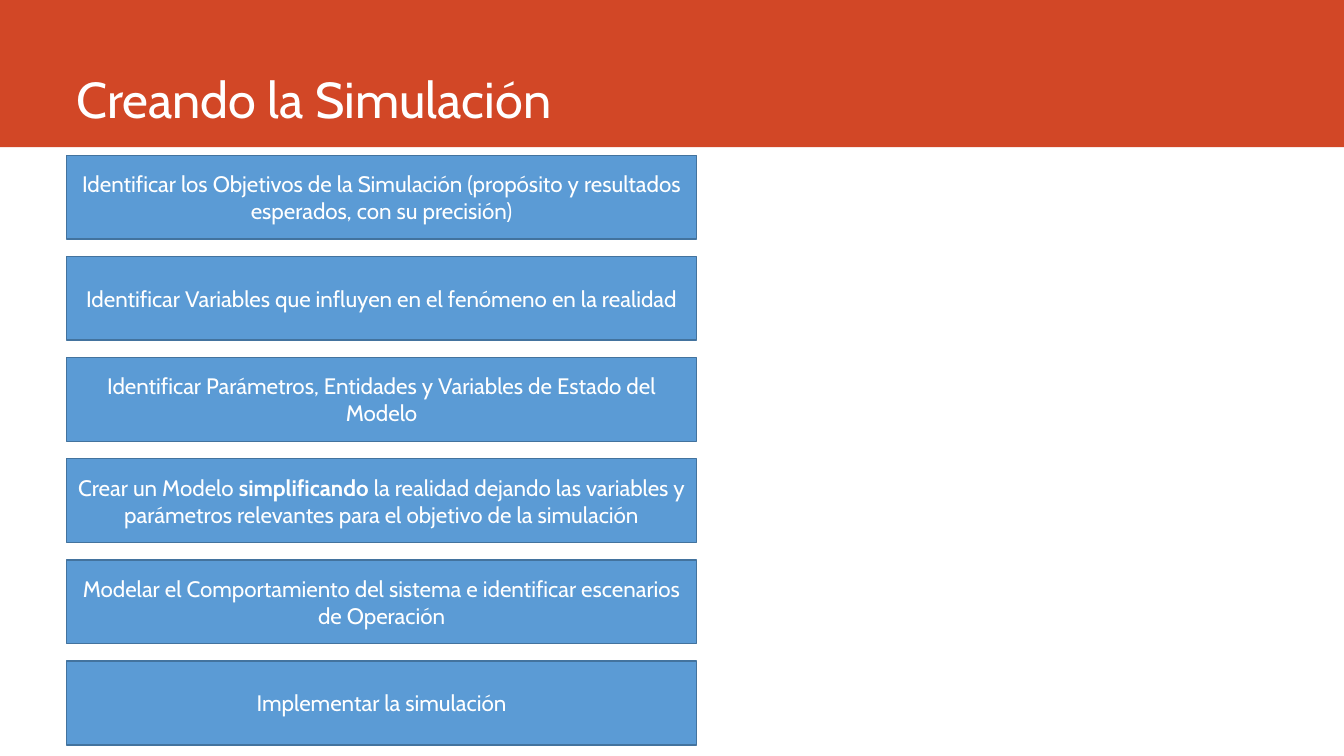
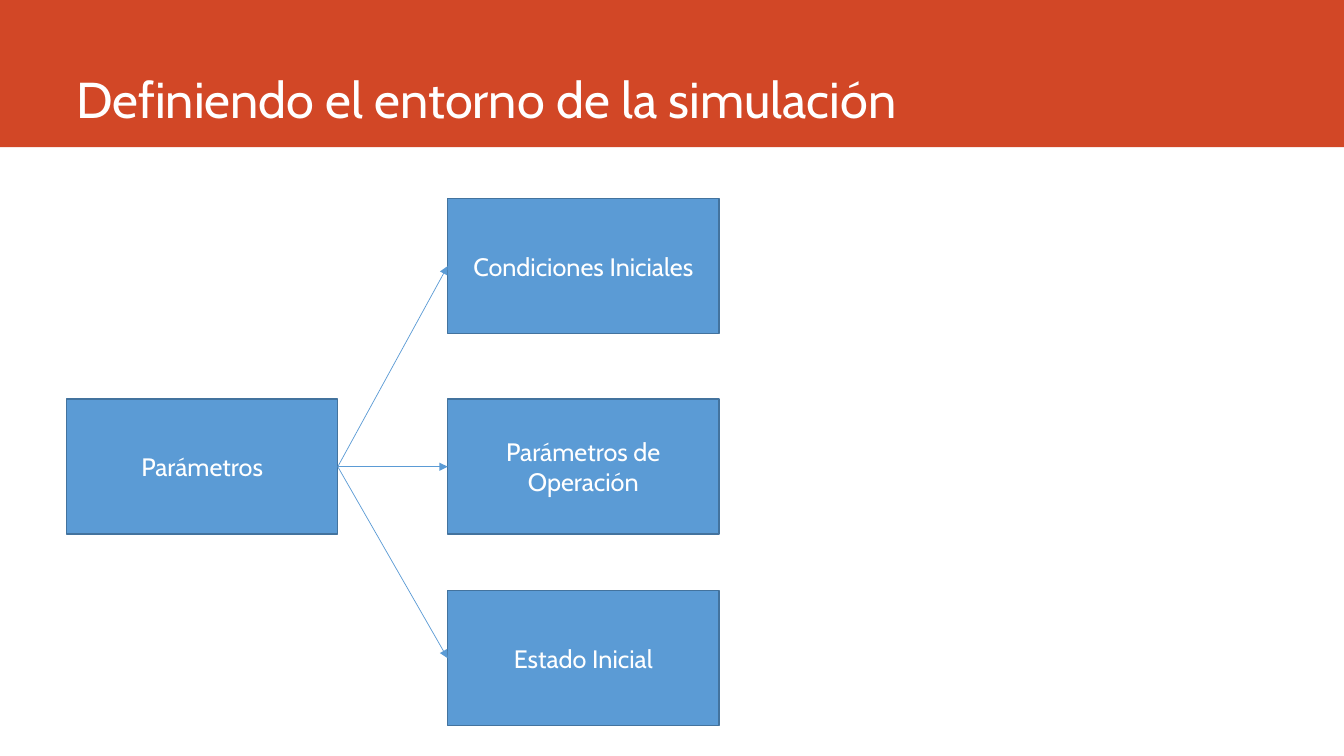
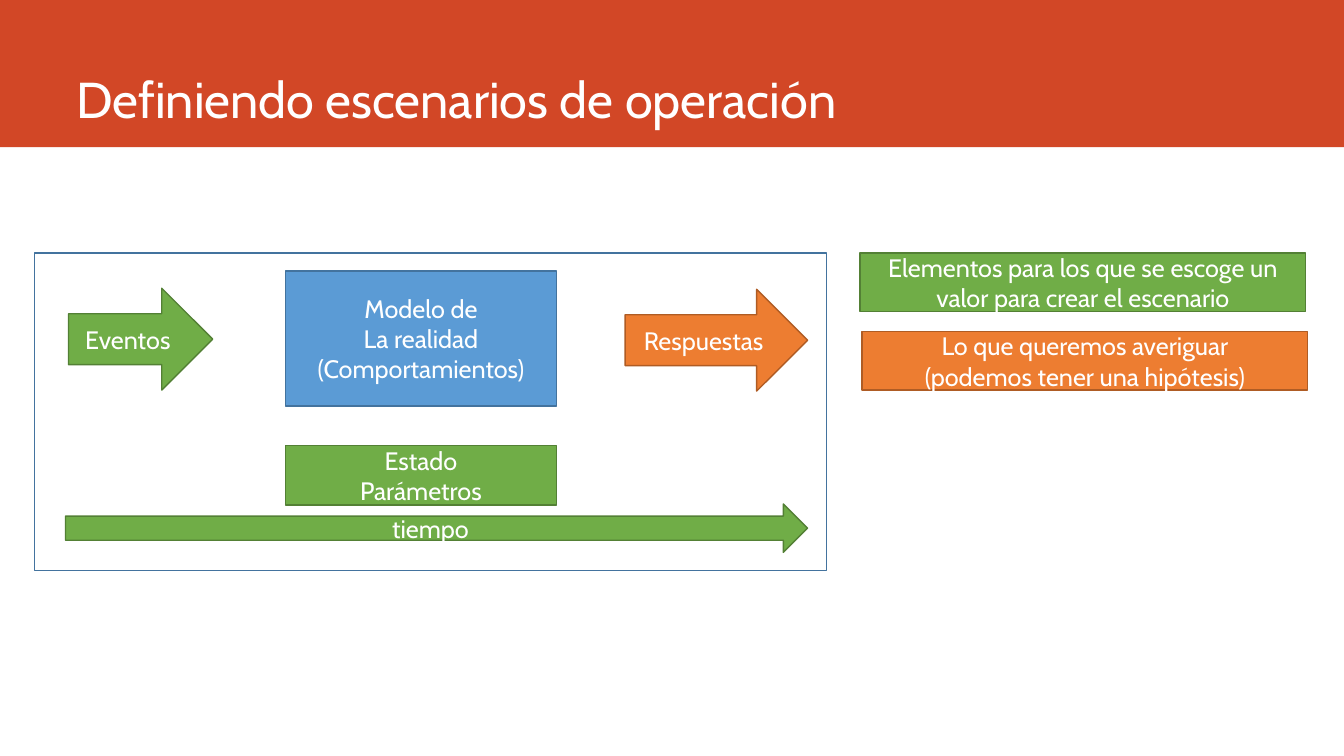
"""Build three slides on creating a simulation; text between asterisks is bold."""
import lxml.etree
import pptx
import pptx.dml.color
import pptx.enum.shapes
import pptx.enum.text
import pptx.oxml.ns
import pptx.util

Inches = pptx.util.Inches
Pt = pptx.util.Pt
SHAPE = pptx.enum.shapes.MSO_SHAPE
ANCHOR = pptx.enum.text.MSO_ANCHOR
ALIGN = pptx.enum.text.PP_ALIGN
qn = pptx.oxml.ns.qn

COLORS = {
    "band": "D24726",
    "text": "FFFFFF",
    "blue": "5B9BD5",
    "blue_edge": "43739E",
    "green": "70AD47",
    "green_edge": "538035",
    "orange": "ED7D31",
    "orange_edge": "AF5C24",
}


def rgb(name):
    return pptx.dml.color.RGBColor.from_string(COLORS[name])


class Deck:
    font = "Cabin"
    width, height = 13.33, 7.5

    def __init__(self):
        self.prs = pptx.Presentation()
        self.prs.slide_width = Inches(self.width)
        self.prs.slide_height = Inches(self.height)
        self.s = None

    def slide(self, title):
        self.s = self.prs.slides.add_slide(self.prs.slide_layouts[6])
        self.shape(0, 0, self.width, 1.46, "band")
        sp = self.s.shapes.add_textbox(Inches(0.66), 0, Inches(11.76), Inches(1.32))
        self.put_text(sp.text_frame, title, 36, ANCHOR.BOTTOM, ALIGN.LEFT)

    def put_text(self, tf, text, size, anchor=ANCHOR.MIDDLE, align=ALIGN.CENTER):
        tf.word_wrap = True
        tf.vertical_anchor = anchor
        for i, line in enumerate(text.split("\n")):
            p = tf.add_paragraph() if i else tf.paragraphs[0]
            p.alignment = align
            for j, piece in enumerate(line.split("*")):
                r = p.add_run()
                r.text = piece
                style = {"name": self.font, "size": Pt(size), "bold": j % 2 == 1}
                for key, value in style.items():
                    setattr(r.font, key, value)
                r.font.color.rgb = rgb("text")

    def shape(self, x, y, w, h, fill=None, edge=None, text="", size=18,
              kind=SHAPE.RECTANGLE):
        sp = self.s.shapes.add_shape(kind, Inches(x), Inches(y), Inches(w), Inches(h))
        sp.shadow.inherit = False
        if fill:
            sp.fill.solid()
            sp.fill.fore_color.rgb = rgb(fill)
        else:
            sp.fill.background()
        if edge:
            sp.line.color.rgb = rgb(edge)
            sp.line.width = Pt(1)
        else:
            sp.line.fill.background()
        if text:
            self.put_text(sp.text_frame, text, size)
        return sp

    def box(self, x, y, w, h, text, color="blue", **options):
        return self.shape(x, y, w, h, color, color + "_edge", text, **options)

    def block_arrow(self, x, y, w, h, text, color):
        return self.box(x, y, w, h, text, color, kind=SHAPE.RIGHT_ARROW)

    def link(self, start, end):
        cx = self.s.shapes.add_connector(
            pptx.enum.shapes.MSO_CONNECTOR.STRAIGHT, 0, 0, 0, 0)
        cx.begin_connect(start, 3)
        cx.end_connect(end, 1)
        cx.line.color.rgb = rgb("blue")
        cx.line.width = Pt(0.5)
        props = cx._element.spPr
        lxml.etree.SubElement(props.find(qn("a:ln")), qn("a:tailEnd"), type="triangle")
        lxml.etree.SubElement(props, qn("a:effectLst"))


def steps_slide(deck):
    deck.slide("Creando la Simulación")
    steps = [
        "Identificar los Objetivos de la Simulación (propósito y resultados esperados, con su precisión)",
        "Identificar Variables que influyen en el fenómeno en la realidad",
        "Identificar Parámetros, Entidades y Variables de Estado del Modelo",
        "Crear un Modelo *simplificando *la realidad dejando las variables y parámetros relevantes para el objetivo de la simulación",
        "Modelar el Comportamiento del sistema e identificar escenarios de Operación",
        "Implementar la simulación",
    ]
    top, last = 1.54, 6.56
    pitch = (last - top) / (len(steps) - 1)
    for i, step in enumerate(steps):
        deck.box(0.66, top + i * pitch, 6.25, 0.83, step, size=16)


def environment_slide(deck):
    deck.slide("Definiendo el entorno de la simulación")
    w, h = 2.69, 1.34
    root = deck.box(0.66, 3.96, w, h, "Parámetros")
    branches = {
        "Condiciones Iniciales": 1.97,
        "Parámetros de Operación": 3.96,
        "Estado Inicial": 5.86,
    }
    boxes = [deck.box(4.44, y, w, h, text) for text, y in branches.items()]
    for sp in boxes:
        deck.link(root, sp)


def scenarios_slide(deck):
    deck.slide("Definiendo escenarios de operación")
    deck.box(2.83, 2.69, 2.69, 1.34, "Modelo de\nLa realidad\n(Comportamientos)")
    deck.block_arrow(0.65, 5, 7.36, 0.48, "tiempo", "green")
    deck.block_arrow(0.68, 2.86, 1.43, 1.01, "Eventos", "green")
    deck.block_arrow(6.2, 2.87, 1.81, 1.01, "Respuestas", "orange")
    deck.box(2.83, 4.42, 2.69, 0.59, "Estado\nParámetros", "green")
    deck.shape(0.34, 2.51, 7.86, 3.15, edge="blue_edge")
    deck.box(8.53, 2.51, 4.42, 0.58,
             "Elementos para los que se escoge un valor para crear el escenario", "green")
    deck.box(8.55, 3.29, 4.42, 0.58,
             "Lo que queremos averiguar\n(podemos tener una hipótesis)", "orange")


def main():
    deck = Deck()
    steps_slide(deck)
    environment_slide(deck)
    scenarios_slide(deck)
    deck.prs.save("out.pptx")


if __name__ == "__main__":
    main()
